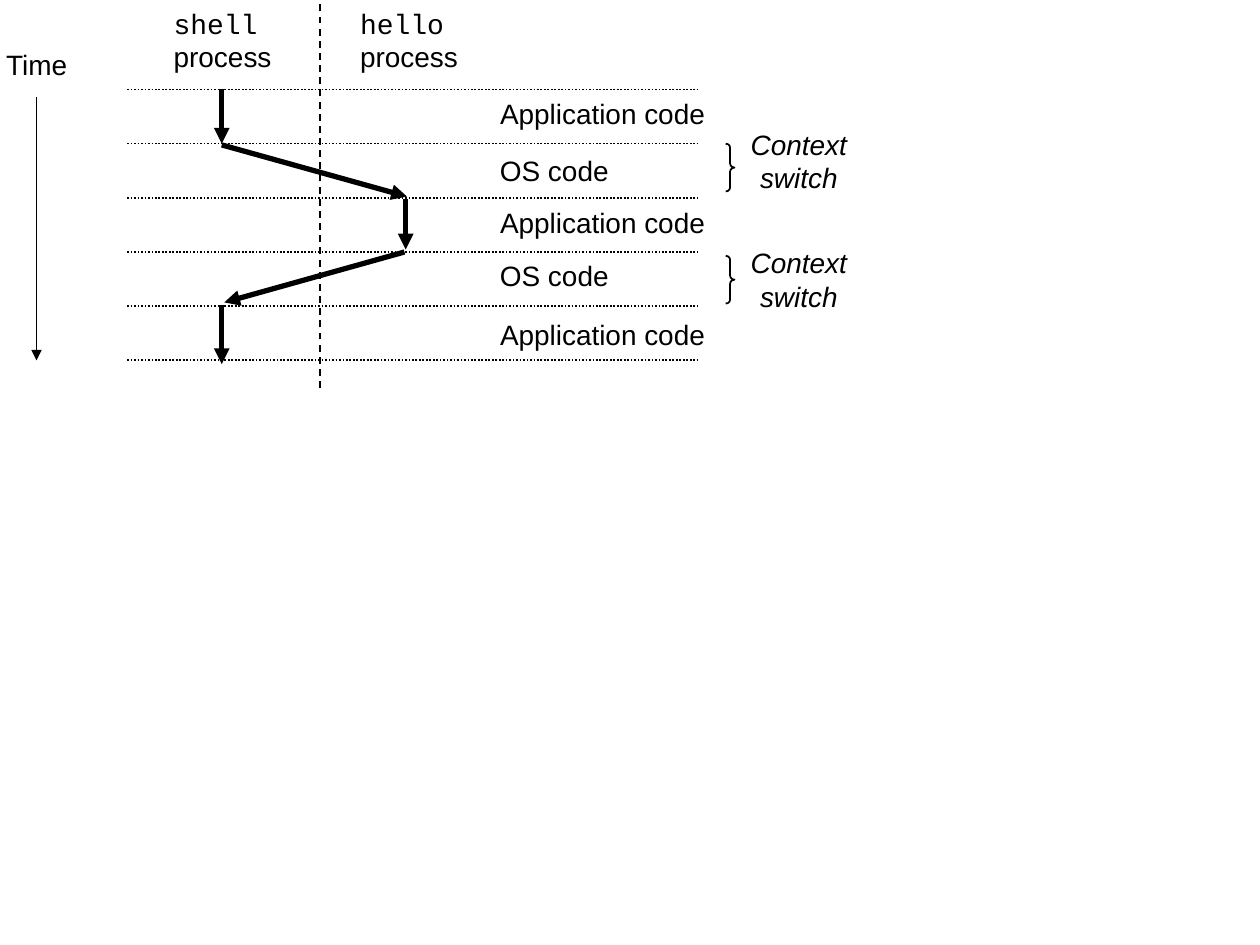
import pptx
import pptx.util
import pptx.dml.color
import pptx.enum.dml
import pptx.enum.shapes
import pptx.enum.text
import pptx.oxml.ns
from dataclasses import dataclass
from lxml import etree
from pptx.util import Inches


@dataclass(frozen=True)
class Theme:
    ink: pptx.dml.color.RGBColor = pptx.dml.color.RGBColor(0, 0, 0)
    sans: str = "Arial"
    mono: str = "Courier New"
    size: int = 16
    thin: int = 1
    bold: int = 3


THEME = Theme()
DASH = pptx.enum.dml.MSO_LINE
ALIGN = pptx.enum.text.PP_ALIGN
ROW = 0.43


def text(slide, box, lines, fonts=(THEME.sans, THEME.sans), align=ALIGN.LEFT, slant=False):
    frame = slide.shapes.add_textbox(*map(Inches, box)).text_frame
    frame.word_wrap = True
    frame.text = "\n".join(lines)
    for par, name in zip(frame.paragraphs, fonts):
        par.alignment = align
        par.font.name = name
        par.font.size = pptx.util.Pt(THEME.size)
        par.font.italic = slant
        par.font.color.rgb = THEME.ink


def line(slide, start, end, width=THEME.thin, dash=None, arrow=False):
    link = slide.shapes.add_connector(
        pptx.enum.shapes.MSO_CONNECTOR.STRAIGHT, *map(Inches, (*start, *end)))
    link.line.color.rgb = THEME.ink
    link.line.width = pptx.util.Pt(width)
    if dash:
        link.line.dash_style = dash
    if arrow:
        tail = etree.SubElement(link.line._get_or_add_ln(), pptx.oxml.ns.qn("a:tailEnd"))
        tail.set("type", "triangle")
    etree.SubElement(link._element.spPr, pptx.oxml.ns.qn("a:effectLst"))


def heads(slide, left, top):
    for name, x in (("shell", 0), ("hello", 1.48)):
        text(slide, (left + x, top, 1.05, 0.64), (name, "process"), (THEME.mono, THEME.sans))


def clock(slide, left, top):
    text(slide, (left, top, 0.75, 0.37), ("Time",))
    x = left + 0.34
    line(slide, (x, top + 0.44), (x, top + 2.53), arrow=True)


def grid(slide, left, top, width):
    for row in range(6):
        y = top + row * ROW
        line(slide, (left, y), (left + width, y), dash=DASH.ROUND_DOT)
    mid = left + 1.53
    line(slide, (mid, 3.08), (mid, 0), dash=DASH.DASH)


def flow(slide, left, top):
    steps = (
        ((0, 0), (0, 0.43)),
        ((0, 0.44), (1.47, 0.85)),
        ((1.46, 0.87), (1.46, 1.27)),
        ((1.45, 1.29), (0.02, 1.69)),
        ((0, 1.71), (0, 2.18)),
    )
    for ends in steps:
        start, end = ((left + x, top + y) for x, y in ends)
        line(slide, start, end, THEME.bold, arrow=True)


def modes(slide, left, top):
    for row, y in enumerate((0, 0.45, 0.86, 1.28, 1.75)):
        name, width = (("Application code", 1.88), ("OS code", 1.1))[row % 2]
        text(slide, (left, top + y, width, 0.37), (name,))


def switch(slide, left, top, rise):
    brace = slide.shapes.add_shape(
        pptx.enum.shapes.MSO_SHAPE.RIGHT_BRACE,
        *map(Inches, (left, top, 0.07, 0.38)))
    brace.adjustments[0] = 0.45
    brace.shadow.inherit = False
    brace.fill.background()
    brace.line.color.rgb = THEME.ink
    brace.line.width = pptx.util.Pt(THEME.thin)
    text(slide, (left + 0.04, top - rise, 1.08, 0.64), ("Context", "switch"),
         align=ALIGN.CENTER, slant=True)


def main():
    deck = pptx.Presentation()
    deck.slide_width, deck.slide_height = Inches(10), Inches(7.5)
    slide = deck.slides.add_slide(deck.slide_layouts[6])
    heads(slide, 1.28, 0)
    clock(slide, -0.05, 0.33)
    grid(slide, 1.01, 0.71, 4.53)
    flow(slide, 1.76, 0.71)
    modes(slide, 3.87, 0.72)
    switch(slide, 5.76, 1.14, 0.18)
    switch(slide, 5.76, 2.03, 0.13)
    deck.save("out.pptx")


if __name__ == "__main__":
    main()
